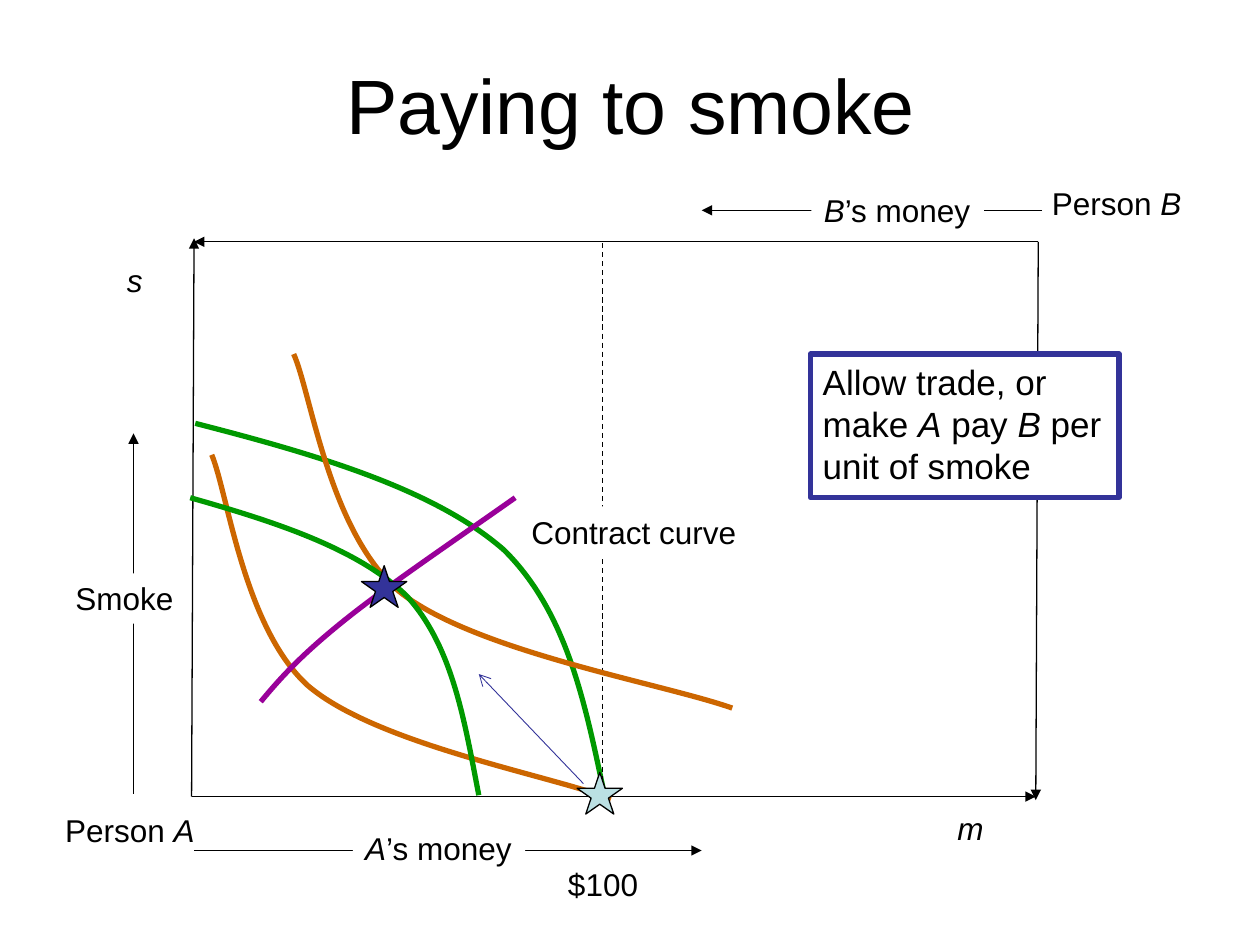
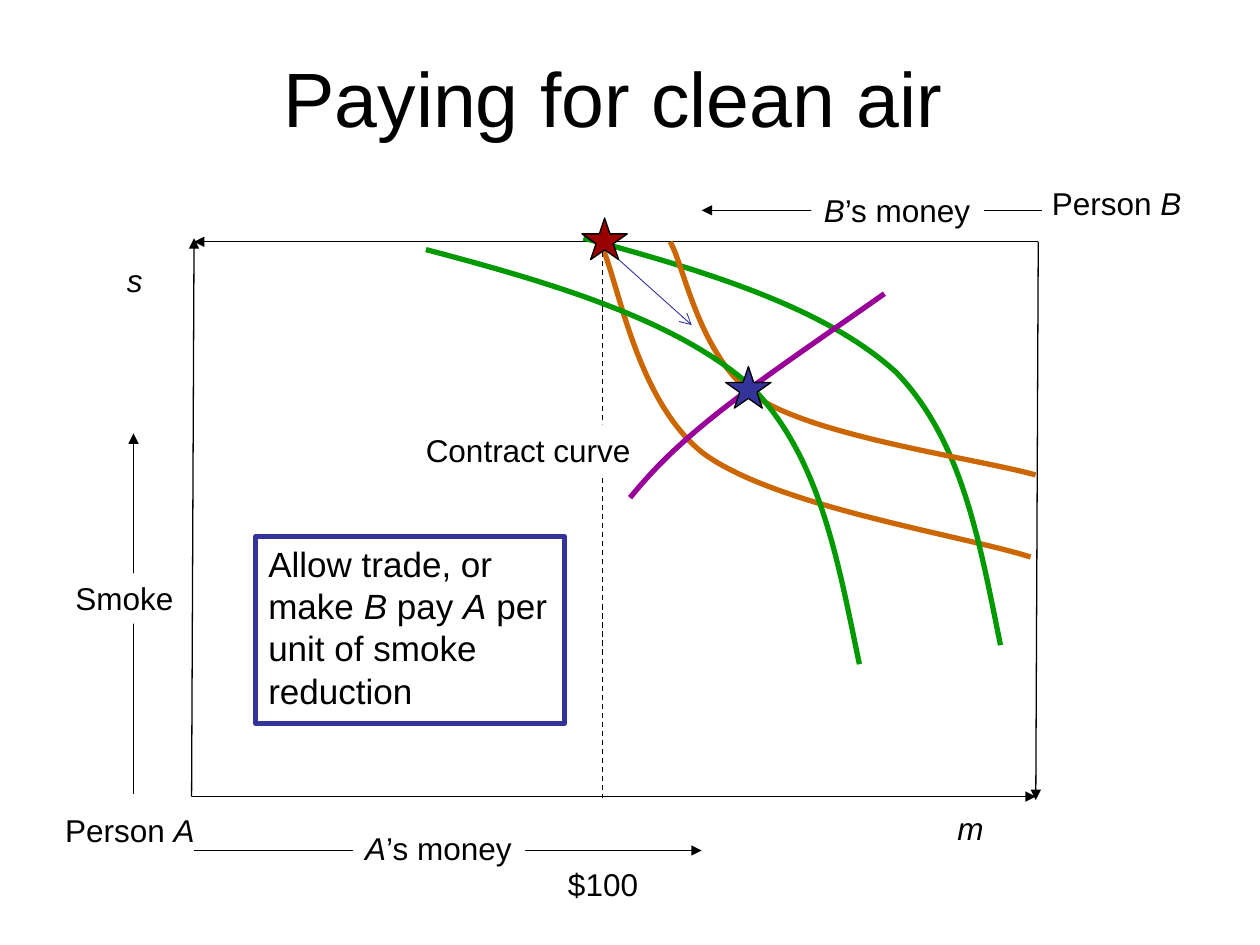
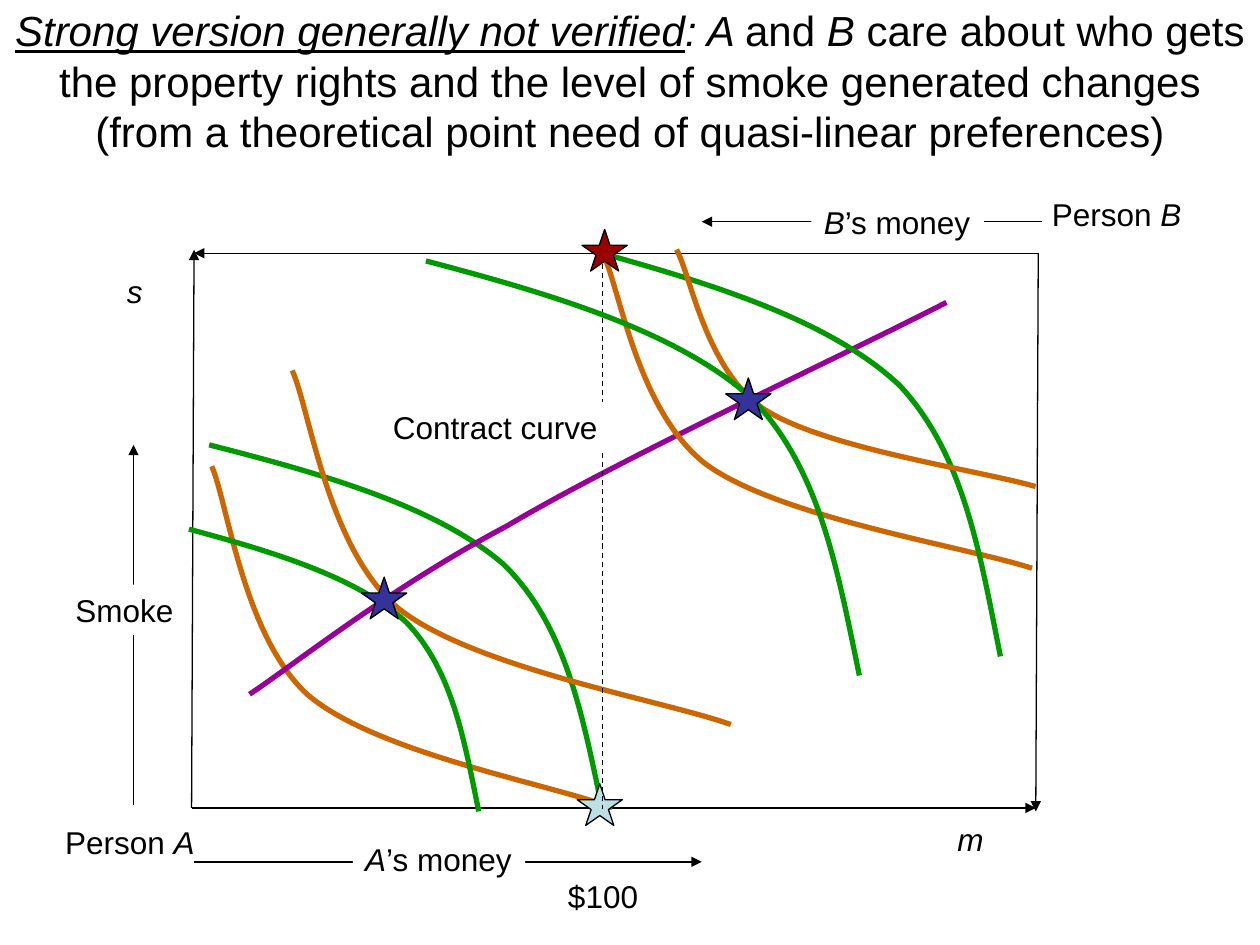
import dataclasses

import lxml.etree
import pptx
import pptx.dml.color
import pptx.enum.dml
import pptx.enum.shapes
import pptx.enum.text
import pptx.oxml.ns
import pptx.util

Pt = pptx.util.Pt
qn = pptx.oxml.ns.qn

FONT = "Arial"
BLACK, WHITE, NAVY = "000000", "FFFFFF", "333399"
GREEN, ORANGE, PURPLE = "009900", "CC6600", "990099"
PALE_BLUE, DARK_RED = "BBE0E3", "990000"

# Bezier points as fractions of the box that a curve fills: start, then triples
CONCAVE = [(0, 0), (.29, .08), (.58, .17), (.75, .33), (.91, .5), (.95, .75), (1, 1)]
CONVEX = [(0, 0), (.04, .11), (.08, .5), (.24, .67), (.41, .84), (.84, .93), (1, 1)]
SHORT_CONTRACT = [(0, 1), (.08, .88), (.16, .77), (.33, .6), (.5, .43), (.75, .22), (1, 0)]
LONG_CONTRACT = [(0, 1), (.06, .93), (.2, .73), (.37, .57), (.53, .4), (.87, .12), (1, 0)]


def color(hex_code):
    return pptx.dml.color.RGBColor.from_string(hex_code)


def set_outline(shape, hex_code, width):
    shape.line.color.rgb = color(hex_code)
    shape.line.width = Pt(width)


def write(paragraph, marked_text, size):
    """Fill a paragraph; text between asterisks becomes italic."""
    for position, words in enumerate(marked_text.split("*")):
        if words:
            run = paragraph.add_run()
            run.text = words
            run.font.name = FONT
            run.font.size = Pt(size)
            run.font.italic = position % 2 == 1
            run.font.color.rgb = color(BLACK)


def add_title(slide, marked_text, left, top, width, size):
    title = slide.shapes.add_textbox(Pt(left), Pt(top), Pt(width), Pt(90))
    frame = title.text_frame
    frame.word_wrap = True
    frame.vertical_anchor = pptx.enum.text.MSO_ANCHOR.MIDDLE
    heading = frame.paragraphs[0]
    heading.alignment = pptx.enum.text.PP_ALIGN.CENTER
    write(heading, marked_text, size)
    return heading


@dataclasses.dataclass
class EdgeworthBox:
    """Diagram whose parts are placed from the box's top left corner."""
    slide: object
    top: float = 138.2
    left: float = 109.5

    def at(self, x, y):
        return Pt(self.left + x), Pt(self.top + y)

    def line(self, start, end, arrow=None, hex_code=BLACK, width=0.75, dashed=False):
        connector = self.slide.shapes.add_connector(
            pptx.enum.shapes.MSO_CONNECTOR.STRAIGHT, *self.at(*start), *self.at(*end))
        set_outline(connector, hex_code, width)
        if dashed:
            connector.line.dash_style = pptx.enum.dml.MSO_LINE.DASH
        properties = connector._element.spPr
        if arrow:
            lxml.etree.SubElement(properties.find(qn("a:ln")), qn("a:tailEnd"), type=arrow)
        lxml.etree.SubElement(properties, qn("a:effectLst"))

    def label(self, marked_text, x, y, width, fill=None):
        label = self.slide.shapes.add_textbox(*self.at(x, y), Pt(width), Pt(28.8))
        label.text_frame.word_wrap = False
        label.text_frame.auto_size = pptx.enum.text.MSO_AUTO_SIZE.SHAPE_TO_FIT_TEXT
        if fill:
            label.fill.solid()
            label.fill.fore_color.rgb = color(fill)
        write(label.text_frame.paragraphs[0], marked_text, 18)

    def contract_label(self, x, y):
        self.label("Contract curve", x, y, 132, WHITE)

    def note(self, lines, x, y, height):
        note = self.slide.shapes.add_textbox(*self.at(x, y), Pt(176.4), Pt(height))
        note.fill.solid()
        note.fill.fore_color.rgb = color(WHITE)
        set_outline(note, NAVY, 3)
        frame = note.text_frame
        frame.word_wrap = True
        for number, words in enumerate(lines):
            write(frame.add_paragraph() if number else frame.paragraphs[0], words, 20)

    def curve(self, outline, hex_code, x, y, width, height):
        points = [self.at(x + width * u, y + height * v) for u, v in outline]
        builder = self.slide.shapes.build_freeform(*points[0])
        builder.add_line_segments(points[1:], close=False)
        curve = builder.convert_to_shape()
        curve.shadow.inherit = False
        curve.fill.background()
        set_outline(curve, hex_code, 3)
        # Join each three straight segments into one Bezier segment
        path = next(curve._element.iter(qn("a:path")))
        segments = path.findall(qn("a:lnTo"))
        for first in range(0, len(segments), 3):
            bezier = lxml.etree.SubElement(path, qn("a:cubicBezTo"))
            for segment in segments[first:first + 3]:
                bezier.append(segment[0])
                path.remove(segment)

    def indifference_a(self, *box):
        self.curve(CONVEX, ORANGE, *box)

    def indifference_b(self, *box):
        self.curve(CONCAVE, GREEN, *box)

    def star(self, fill, x, y):
        star = self.slide.shapes.add_shape(
            pptx.enum.shapes.MSO_SHAPE.STAR_5_POINT, *self.at(x, y), Pt(25.9), Pt(23.8))
        star.shadow.inherit = False
        star.fill.solid()
        star.fill.fore_color.rgb = color(fill)
        set_outline(star, BLACK, 0.75)

    def smoke_stars(self):
        self.star(PALE_BLUE, 220.3, 303.2)
        self.star(NAVY, 97.1, 185.1)

    def clean_air_star(self):
        self.star(DARK_RED, 223.1, -13.6)

    def clean_air_trade_star(self):
        self.star(NAVY, 305.2, 71.3)

    def trade_arrow(self, start, end):
        self.line(start, end, "arrow", NAVY, 0.5)

    def endowment_line(self):
        self.line((234.7, 0.8), (234.7, 317.6), dashed=True)

    def axes(self):
        # Four sides, then the three direction arrows outside the box
        for start, end in [
            ((0, 317), (1.4, -2)),
            ((0, 317), (482.4, 317)),
            ((483.8, 0), (1.4, 0)),
            ((483.8, 0), (482.4, 319)),
            ((486, -18), (291.5, -18)),
            ((1.4, 347.8), (291.5, 347.8)),
            ((-33.2, 315.4), (-33.2, 109.5)),
        ]:
            self.line(start, end, "triangle")
        # Names of people and axes
        self.label("Person *A*", -79.3, 321.9, 88.6)
        self.label("Person *B*", 484.5, -36.7, 88.6)
        self.label("*m*", 430.5, 320.4, 29.5)
        self.label("*s*", -44, 7.2, 23.8)
        self.label("$100", 208, 352.8, 54.7)
        # Names that interrupt an arrow
        self.label("*B*’s money", 354.2, -32.4, 98.6, WHITE)
        self.label("*A*’s money", 92.1, 332, 98.6, WHITE)
        self.label("Smoke", -73.5, 189.4, 70.6, WHITE)


def paying_to_smoke(slide):
    add_title(slide, "Paying to smoke", 36.5, 14, 648, 44)
    box = EdgeworthBox(slide)
    box.axes()
    box.indifference_b(2.1, 103.7, 235.4, 219.6)
    box.indifference_a(11.5, 121.7, 228.2, 196.6)
    box.endowment_line()
    box.curve(SHORT_CONTRACT, PURPLE, 39.5, 146.2, 145.4, 116.6)
    box.contract_label(187.1, 151.2)
    box.indifference_a(58.3, 64.1, 250.6, 202.3)
    box.indifference_b(-0.8, 146.2, 164.9, 170)
    box.smoke_stars()
    box.note(["Allow trade, or", "make *A* pay *B* per", "unit of smoke"], 353.5, 64.1, 82.1)
    box.trade_arrow((223.9, 309.6), (164.1, 247))


def paying_for_clean_air(slide):
    add_title(slide, "Paying for clean air", 26.5, 10, 648, 44)
    box = EdgeworthBox(slide)
    box.indifference_a(233.9, 1.5, 245.5, 178.6)
    box.axes()
    box.indifference_b(223.9, -2.1, 238.3, 232.6)
    box.endowment_line()
    box.clean_air_star()
    box.curve(SHORT_CONTRACT, PURPLE, 250.5, 29.6, 145.4, 116.6)
    box.contract_label(126.7, 104.4)
    box.note(["Allow trade, or", "make *B* pay *A* per", "unit of smoke", "reduction"],
             36.7, 168.5, 106.6)
    box.indifference_a(273.5, 0, 208.8, 133.2)
    box.indifference_b(133.9, 4.4, 247.7, 236.9)
    box.clean_air_trade_star()
    box.trade_arrow((244, 10.1), (285.8, 47.6))


def strong_version(slide):
    heading = add_title(
        slide,
        "*Strong version generally not verified**: A *and *B* care about who gets the "
        "property rights and the level of smoke generated changes (from a theoretical "
        "point need of quasi-linear preferences)", 0, 1, 720, 24)
    heading.runs[0].font.underline = True
    box = EdgeworthBox(slide, top=144.7)
    box.axes()
    # Trade from the right to smoke
    box.indifference_b(10, 109.5, 224.6, 207.4)
    box.indifference_a(11.5, 121.7, 229, 195.1)
    box.curve(LONG_CONTRACT, PURPLE, 33.1, 28.1, 398.2, 223.9)
    box.indifference_a(57.5, 67, 250.6, 202.3)
    box.indifference_b(-1.5, 157.7, 165.6, 161.3)
    box.smoke_stars()
    # Trade from the right to clean air
    box.indifference_a(234.7, -0.7, 245.5, 180.7)
    box.indifference_b(231.8, -0.7, 230.4, 231.1)
    box.endowment_line()
    box.clean_air_star()
    box.indifference_a(277.1, -2.1, 205.2, 135.4)
    box.indifference_b(133.9, 4.4, 247.7, 236.9)
    box.clean_air_trade_star()
    box.contract_label(107.9, 85)


def main():
    deck = pptx.Presentation()
    deck.slide_width, deck.slide_height = Pt(720), Pt(540)
    for build in (paying_to_smoke, paying_for_clean_air, strong_version):
        build(deck.slides.add_slide(deck.slide_layouts[6]))
    deck.save("out.pptx")


if __name__ == "__main__":
    main()
